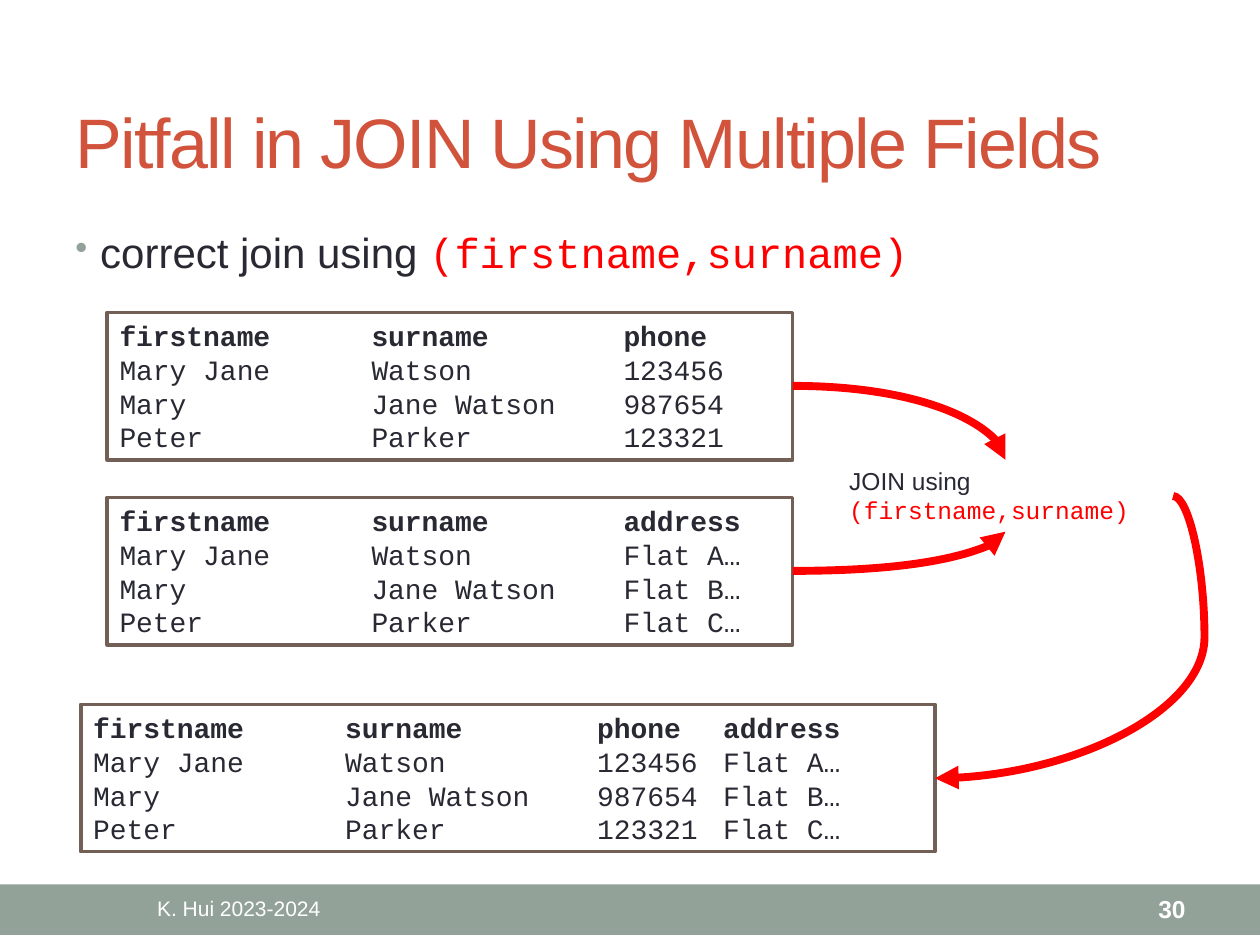
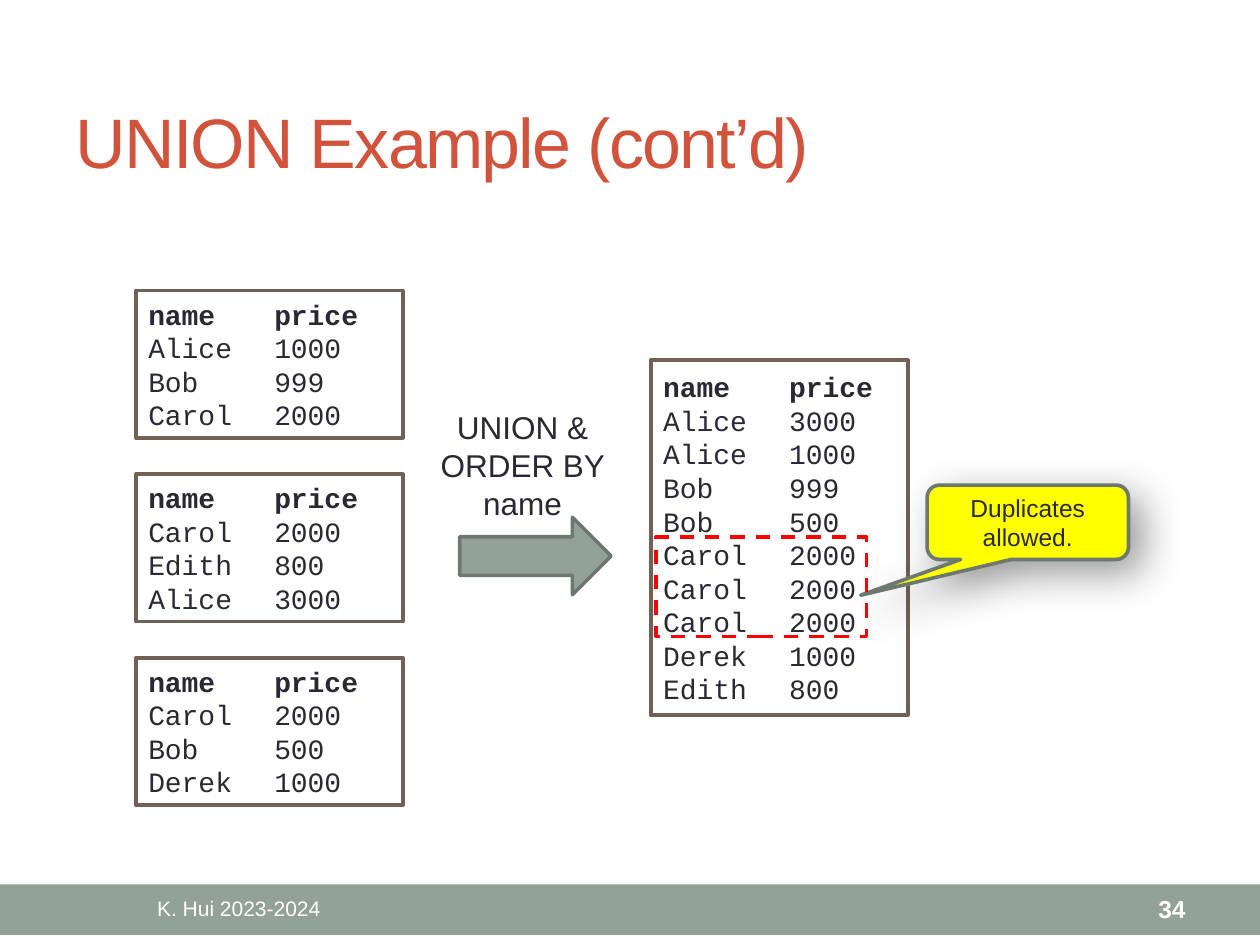
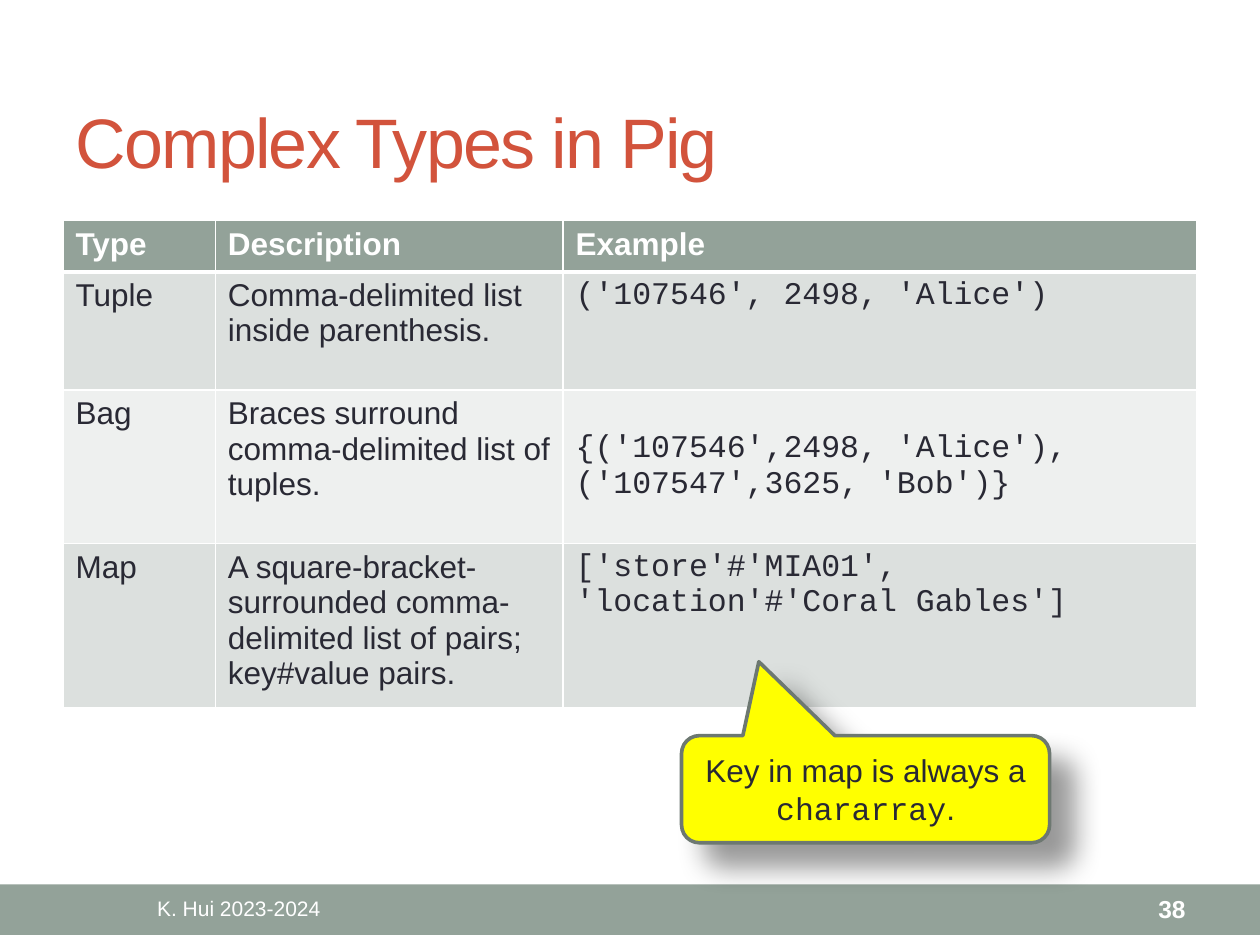
from lxml import etree
from pptx import Presentation
from pptx import util as u
from pptx.dml.color import RGBColor
from pptx.enum import dml, shapes, text
from pptx.oxml.ns import qn

SAGE, BROWN, SLATE, INK = "93A299", "726056", "6D7871", "292934"
RED, YELLOW, WHITE, BRICK = "FF0000", "FFFF00", "FFFFFF", "D2533C"
SANS, MONO = "Arial", "Courier New"
CODE = {"font": MONO, "color": RED}
LEFT, CENTER, RIGHT = text.PP_ALIGN.LEFT, text.PP_ALIGN.CENTER, text.PP_ALIGN.RIGHT
TOP, MIDDLE = text.MSO_ANCHOR.TOP, text.MSO_ANCHOR.MIDDLE
FORM = shapes.MSO_SHAPE


def rgb(value):
    return RGBColor.from_string(value)


def child(parent, tag, **attributes):
    element = etree.SubElement(parent, qn(tag))
    for name, value in attributes.items():
        element.set(name, str(value))
    return element


def write(frame, paras, font=SANS, size=18, color=INK, bold=False, align=LEFT,
          anchor=MIDDLE, head_bold=False, tabs=0, bullet=None, tracking=None):
    frame.word_wrap = True
    frame.vertical_anchor = anchor
    for index, pieces in enumerate(paras):
        para = frame.paragraphs[0] if index == 0 else frame.add_paragraph()
        para.alignment = align
        settings = para._p.get_or_add_pPr()
        if bullet:
            settings.set("marL", str(u.Cm(0.5)))
            settings.set("indent", str(-u.Cm(0.5)))
            child(child(settings, "a:buClr"), "a:srgbClr", val=SAGE)
            child(settings, "a:buSzPct", val=85000)
            child(settings, "a:buChar", char=bullet)
        if tabs:
            stops = child(settings, "a:tabLst")
            for step in range(1, tabs + 1):
                child(stops, "a:tab", pos=u.Cm(2.54 * step), algn="l")
        for piece in [pieces] if isinstance(pieces, str) else pieces:
            words, change = (piece, {}) if isinstance(piece, str) else piece
            span = para.add_run()
            span.text = words
            span.font.name = change.get("font", font)
            span.font.size = u.Pt(size)
            span.font.bold = bold or (head_bold and index == 0)
            span.font.color.rgb = rgb(change.get("color", color))
            if tracking:
                span._r.get_or_add_rPr().set("spc", str(tracking))


class Deck:
    def __init__(self):
        self.deck = Presentation()
        self.deck.slide_width, self.deck.slide_height = u.Cm(25.4), u.Cm(19.05)
        self.page = None

    def start(self, title, number):
        self.page = self.deck.slides.add_slide(self.deck.slide_layouts[5])
        self.shape(FORM.RECTANGLE, (0, 17.83, 25.4, 1.02), SAGE)
        heading = self.page.shapes.title
        heading.left, heading.top, heading.width, heading.height = map(
            u.Cm, (1.27, 1.47, 22.86, 2.74))
        write(heading.text_frame, [title], size=40, color=BRICK, tracking=-100)
        self.label((1.27, 17.86, 7.09, 0.91), ["K. Hui 2023-2024"],
                   size=12, color=WHITE, align=CENTER)
        self.label((21.18, 17.86, 2.97, 0.91), [str(number)],
                   size=14, color=WHITE, bold=True, align=RIGHT)

    def label(self, place, paras, **style):
        box = self.page.shapes.add_textbox(*map(u.Cm, place))
        write(box.text_frame, paras, **style)

    def shape(self, form, place, fill=None, line=None, dash=None):
        box = self.page.shapes.add_shape(form, *map(u.Cm, place))
        box.shadow.inherit = False
        if fill:
            box.fill.solid()
            box.fill.fore_color.rgb = rgb(fill)
        else:
            box.fill.background()
        if line:
            box.line.color.rgb = rgb(line)
            box.line.width = u.Pt(2.08)
            box.line.dash_style = dash
        else:
            box.line.fill.background()
        return box

    def records(self, place, rows):
        box = self.shape(FORM.RECTANGLE, place, WHITE, BROWN)
        write(box.text_frame, rows, font=MONO, size=16, head_bold=True, tabs=5)

    def callout(self, place, tip, paras, size, blur, distance):
        box = self.shape(FORM.ROUNDED_RECTANGULAR_CALLOUT, place, YELLOW, SLATE)
        box.adjustments[0], box.adjustments[1] = tip
        write(box.text_frame, paras, size=size, align=CENTER)
        effects = box._element.spPr.find(qn("a:effectLst"))
        shadow = child(effects, "a:outerShdw", blurRad=u.Pt(blur),
                       dist=u.Pt(distance), dir=2700000, algn="tl", rotWithShape=0)
        child(child(shadow, "a:srgbClr", val="000000"), "a:alpha", val=40000)

    def curve(self, begin, end, preset="curvedConnector2", bend=None):
        arrow = self.page.shapes.add_connector(
            shapes.MSO_CONNECTOR.CURVE, *map(u.Cm, begin + end))
        arrow.line.color.rgb = rgb(RED)
        arrow.line.width = u.Pt(4.5)
        properties = arrow._element.spPr
        child(properties.find(qn("a:ln")), "a:tailEnd", type="triangle")
        child(properties, "a:effectLst")
        geometry = properties.find(qn("a:prstGeom"))
        geometry.set("prst", preset)
        if bend is not None:
            child(geometry.find(qn("a:avLst")), "a:gd", name="adj1", fmla=f"val {bend}")

    def table(self, place, widths, heights, rows):
        grid = self.page.shapes.add_table(
            len(rows), len(widths), *map(u.Cm, place)).table
        grid.horz_banding = False
        for column, width in zip(grid.columns, widths):
            column.width = u.Cm(width)
        for index, (height, row) in enumerate(zip(heights, rows)):
            grid.rows[index].height = u.Cm(height)
            header = index == 0
            for column, words in enumerate(row):
                cell = grid.cell(index, column)
                properties = cell._tc.get_or_add_tcPr()
                for side in "LRTB":
                    thick = (index, side) in ((0, "B"), (1, "T"))
                    edge = child(properties, f"a:ln{side}", w=u.Pt(3 if thick else 1))
                    child(child(edge, "a:solidFill"), "a:srgbClr", val=WHITE)
                cell.fill.solid()
                cell.fill.fore_color.rgb = rgb(
                    SAGE if header else "DCE0DE" if index % 2 else "EEF0EF")
                write(cell.text_frame, [words], bold=header,
                      color=WHITE if header else INK,
                      font=MONO if column == 2 and not header else SANS)
                cell.vertical_anchor = MIDDLE if (index, column) == (2, 2) else TOP


def join_page(deck):
    deck.start("Pitfall in JOIN Using Multiple Fields", 30)
    deck.label((1.27, 4.45, 22.86, 13.11),
               [["correct join using ", ("(firstname,surname)", CODE)]],
               size=24, anchor=TOP, bullet="•")
    deck.records((2.16, 6.3, 13.82, 2.97), [
        "firstname\tsurname\t\tphone", "Mary Jane\tWatson\t\t123456",
        "Mary \t\tJane Watson\t987654", "Peter\t\tParker\t\t123321"])
    deck.records((2.16, 10.03, 13.82, 2.97), [
        "firstname\tsurname\t\taddress", "Mary Jane\tWatson\t\tFlat A…",
        "Mary\t\tJane Watson\tFlat B…", "Peter\t\tParker\t\tFlat C…"])
    deck.records((1.63, 14.2, 17.22, 2.97), [
        "firstname\tsurname\t\tphone\taddress",
        "Mary Jane\tWatson\t\t123456\tFlat A…",
        "Mary\t\tJane Watson\t987654\tFlat B…",
        "Peter\t\tParker\t\t123321\tFlat C…"])
    deck.label((16.87, 9.27, 6.78, 1.45),
               [["JOIN using ", ("(firstname,surname)", CODE)]], size=14, anchor=TOP)
    deck.curve((15.98, 7.78), (20.27, 9.27))
    deck.curve((15.98, 11.51), (20.27, 10.72))
    deck.curve((23.65, 10), (18.85, 15.69), "curvedConnector3", -13200)


def union_page(deck):
    deck.start("UNION Example (cont’d)", 34)
    sources = [
        ["Alice\t1000", "Bob\t999", "Carol\t2000"],
        ["Carol\t2000", "Edith\t800", "Alice\t3000"],
        ["Carol\t2000", "Bob\t500", "Derek\t1000"]]
    for index, rows in enumerate(sources):
        deck.records((2.74, 5.86 + 3.7 * index, 5.38, 2.97), ["name\tprice"] + rows)
    deck.records((13.12, 7.26, 5.18, 7.16), [
        "name\tprice", "Alice\t3000", "Alice\t1000", "Bob\t999", "Bob\t500",
        "Carol\t2000", "Carol\t2000", "Carol\t2000", "Derek\t1000", "Edith\t800"])
    deck.label((7.92, 8.1, 5.23, 2.57), ["UNION & ORDER BY name"],
               align=CENTER, anchor=TOP)
    deck.shape(FORM.RIGHT_ARROW, (9.27, 10.43, 3.05, 1.56), SAGE, SLATE)
    deck.callout((18.69, 9.78, 4.06, 1.5), (-0.83, 0.98),
                 ["Duplicates allowed."], 14, 24, 10)
    deck.shape(FORM.RECTANGLE, (13.23, 10.82, 4.24, 2.01), line=RED,
               dash=dml.MSO_LINE.DASH)


def types_page(deck):
    deck.start("Complex Types in Pig", 38)
    deck.table((1.27, 4.45, 22.86, 9.6), (3.07, 7.01, 12.78), (1.03, 2.38, 3.1, 3.09), [
        ("Type", "Description", "Example"),
        ("Tuple", "Comma-delimited list inside parenthesis.",
         "('107546', 2498, 'Alice')"),
        ("Bag", "Braces surround comma-delimited list of tuples.",
         "{('107546',2498, 'Alice'), ('107547',3625, 'Bob')}"),
        ("Map", "A square-bracket-surrounded comma-delimited list of pairs; "
                "key#value pairs.",
         "['store'#'MIA01', 'location'#'Coral Gables']")])
    deck.callout((13.74, 14.83, 7.42, 2.16), (-0.29, -1.19),
                 [["Key in map is always a ", ("chararray", {"font": MONO}), "."]],
                 18, 16, 19)


def main():
    deck = Deck()
    join_page(deck)
    union_page(deck)
    types_page(deck)
    deck.deck.save("out.pptx")


if __name__ == "__main__":
    main()
